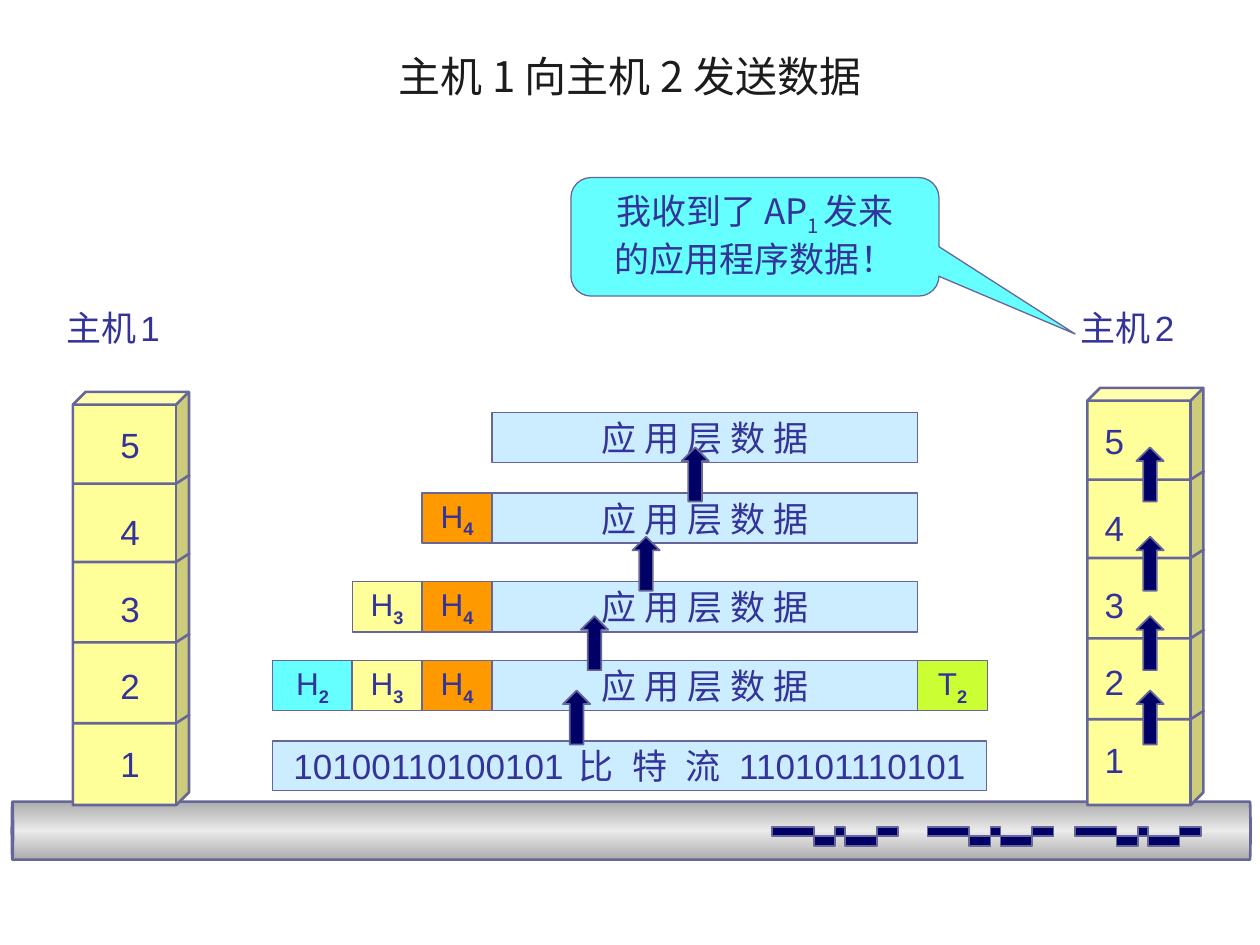
from lxml import etree
from pptx import Presentation
from pptx import util as u
from pptx.dml import color
from pptx.enum import shapes, text
from pptx.oxml import ns

COLORS = {
    "text": "333399", "title": "1C1C1C", "outline": "666699", "data": "CCECFF",
    "yellow": "FFFF99", "orange": "FF9900", "cyan": "66FFFF", "lime": "CCFF33",
    "navy": "000066", "pipe_edge": "ACACAC", "pipe_middle": "EAEAEA",
}
SHAPE = shapes.MSO_SHAPE
CENTER = text.PP_ALIGN.CENTER
SUBSCRIPT = {"baseline": "-25000"}
BOLD_SUBSCRIPT = {"baseline": "-25000", "b": "1"}

DATA_WIDTH, DATA_HEIGHT = 8.58, 1.01
HEADER_WIDTH, LINK_HEADER_WIDTH = 1.41, 1.6
HEADERS = {"4": ("orange", HEADER_WIDTH), "3": ("yellow", HEADER_WIDTH),
           "2": ("cyan", LINK_HEADER_WIDTH)}


def rgb(name):
    return color.RGBColor.from_string(COLORS[name])


def paint(shape, fill, line_width):
    shape.shadow.inherit = False
    if fill:
        shape.fill.solid()
        shape.fill.fore_color.rgb = rgb(fill)
    else:
        shape.fill.background()
    shape.line.color.rgb = rgb("outline")
    shape.line.width = u.Pt(line_width)


def add_block(slide, kind, box, fill, line_width=0.75):
    shape = slide.shapes.add_shape(kind, *map(u.Cm, box))
    paint(shape, fill, line_width)
    return shape


def add_path(slide, points, fill, line_width, close):
    points = [(u.Cm(x), u.Cm(y)) for x, y in points]
    builder = slide.shapes.build_freeform(*points[0])
    builder.add_line_segments(points[1:], close=close)
    paint(builder.convert_to_shape(), fill, line_width)


def write(shape, lines, size=20, font="Arial", ink="text", align=None,
          anchor=text.MSO_ANCHOR.MIDDLE, wrap=False):
    """Fill a shape with lines, each a list of (text, run attributes)."""
    frame = shape.text_frame
    frame.word_wrap = wrap
    frame.vertical_anchor = anchor
    for index, runs in enumerate(lines):
        paragraph = frame.add_paragraph() if index else frame.paragraphs[0]
        paragraph.alignment = align
        paragraph.font.size = u.Pt(size)
        paragraph.font.name = font
        paragraph.font.color.rgb = rgb(ink)
        for words, attributes in runs:
            run = paragraph.add_run()
            run.text = words
            for key, value in attributes.items():
                run._r.get_or_add_rPr().set(key, value)


def add_label(slide, box, runs, **style):
    write(slide.shapes.add_textbox(*map(u.Cm, box)), [runs], **style)


def add_pipe(slide, left, top, width, height):
    """Lay a can on its side so that it covers the given box."""
    box = (left + (width - height) / 2, top + (height - width) / 2, height, width)
    pipe = add_block(slide, SHAPE.CAN, box, "pipe_edge", 1.5)
    pipe.rotation = 270
    pipe.adjustments[0] = 0.02
    pipe.fill.gradient()
    pipe.fill.gradient_angle = 0
    stops = pipe._element.spPr.find(".//" + ns.qn("a:gsLst"))
    for stop in list(stops):
        stops.remove(stop)
    for position, name in ((0, "pipe_edge"), (50, "pipe_middle"), (100, "pipe_edge")):
        stop = etree.SubElement(stops, ns.qn("a:gs"), pos=str(position * 1000))
        etree.SubElement(stop, ns.qn("a:srgbClr"), val=COLORS[name])


def add_host(slide, left, top, height, number, number_offset):
    """Draw a host as a stack of five layers, with its name above."""
    tower = add_block(slide, SHAPE.CUBE, (left, top, 2.34, height), "yellow", 1.5)
    tower.adjustments[0] = 0.11
    for layer, offset in zip("54321", (0.5, 2.25, 3.8, 5.35, 6.93)):
        add_label(slide, (left + number_offset, top + offset, 0.89, 1.12), [(layer, {})])
    for offset in (1.85, 3.43, 5.05, 6.68):
        y = top + offset
        add_path(slide, [(left, y), (left + 2.08, y), (left + 2.36, y - 0.18)],
                 None, 1.5, close=False)
    add_label(slide, (left - 0.38, 6.05, 2.46, 1.12),
              [("主机", {}), (" ", {"sz": "1000"}), (number, {})])


def add_field(slide, box, letter, number, fill):
    field = add_block(slide, SHAPE.RECTANGLE, box, fill)
    write(field, [[(letter, {}), (number, BOLD_SUBSCRIPT)]], size=18, align=CENTER)


def add_frame(slide, left, top, headers, trailer=None):
    """Draw the data at left, with headers growing leftwards from it."""
    data = add_block(slide, SHAPE.RECTANGLE, (left, top, DATA_WIDTH, DATA_HEIGHT), "data")
    write(data, [[("应 用 层 数 据", {})]], font="Karla", align=CENTER)
    header_left = left
    for number in headers:
        fill, width = HEADERS[number]
        header_left -= width
        add_field(slide, (header_left, top, width, DATA_HEIGHT), "H", number, fill)
    if trailer:
        box = (left + DATA_WIDTH, top, HEADER_WIDTH, DATA_HEIGHT)
        add_field(slide, box, "T", trailer, "lime")


def add_bit_stream(slide, left, top, width, height):
    stream = add_block(slide, SHAPE.RECTANGLE, (left, top, width, height), "data")
    write(stream, [[("10100110100101", {}), (" 比 特 流 ", {"spc": "300"}),
                    ("110101110101", {})]], align=CENTER)


def add_signal(slide, left, top):
    high, middle, low = top, top + 0.19, top + 0.39
    edges = [left + offset for offset in (0, 0.84, 1.27, 1.47, 2.11, 2.54)]
    points = [(edges[0], middle), (edges[0], high)]
    for index, edge in enumerate(edges[1:-1]):
        levels = (low, high) if index % 2 else (high, low)
        points += [(edge, level) for level in levels]
    points += [(edges[-1], high), (edges[-1], middle)]
    add_path(slide, points, "navy", 1, close=True)


def add_callout(slide, *box):
    callout = add_block(slide, SHAPE.ROUNDED_RECTANGULAR_CALLOUT, box, "cyan")
    for index, value in enumerate((0.87, 0.82, 0.17)):
        callout.adjustments[index] = value
    write(callout, [[("我收到了 AP", {}), ("1 ", SUBSCRIPT), ("发来", {})],
                    [("的应用程序数据！", {})]],
          font="Noto Sans CJK SC", align=CENTER, anchor=text.MSO_ANCHOR.TOP, wrap=True)


def build_slide(slide):
    add_label(slide, (1.27, 0.76, 22.86, 1.55), [("主机 1 向主机 2 发送数据", {})],
              size=24, font="Noto Sans CJK SC", ink="title", align=CENTER, wrap=True)
    add_pipe(slide, 0.24, 16.16, 24.97, 1.17)
    add_host(slide, 1.47, 7.9, 8.33, "1", 0.71)
    add_host(slide, 21.92, 7.82, 8.41, "2", 0.1)
    add_bit_stream(slide, 5.49, 14.94, 14.4, 1)
    for top, headers, trailer in ((8.31, "", None), (9.94, "4", None),
                                  (11.73, "43", None), (13.32, "432", "2")):
        add_frame(slide, 9.92, top, headers, trailer)
    for left in (15.57, 18.7, 21.67):
        add_signal(slide, left, 16.67)
    add_callout(slide, 11.51, 3.58, 7.42, 2.39)
    for frame_left, top in ((11.35, 13.92), (11.71, 12.42), (12.75, 10.82), (13.74, 9.02)):
        for left in (frame_left, 22.91):
            add_block(slide, SHAPE.UP_ARROW, (left, top, 0.55, 1.09), "navy", 1)


def main():
    presentation = Presentation()
    presentation.slide_width, presentation.slide_height = u.Cm(25.4), u.Cm(19.05)
    build_slide(presentation.slides.add_slide(presentation.slide_layouts[6]))
    presentation.save("out.pptx")


if __name__ == "__main__":
    main()
